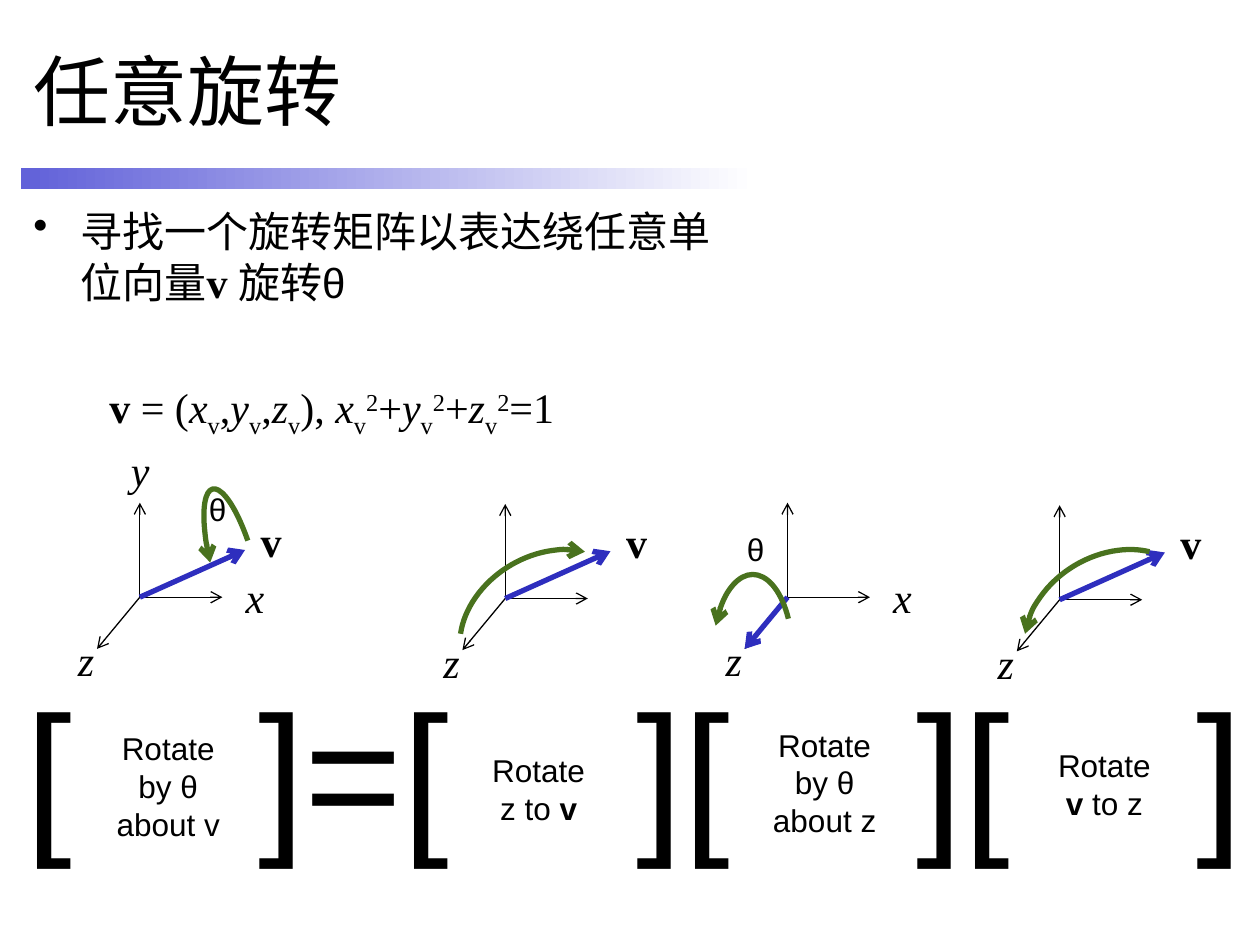
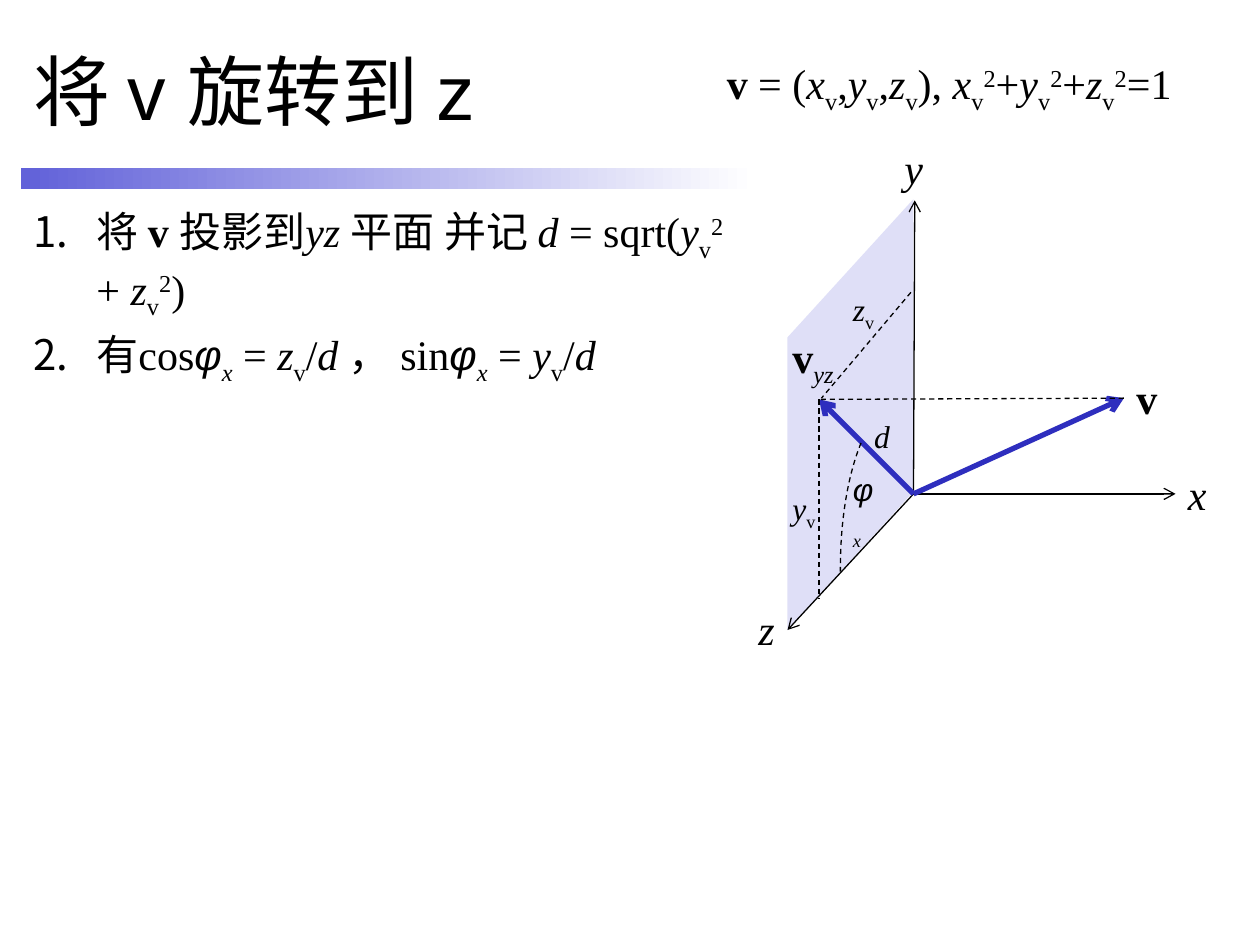
from dataclasses import dataclass

from lxml import etree
from pptx import Presentation, util as u
from pptx.dml.color import RGBColor
from pptx.enum import dml, shapes, text
from pptx.oxml.ns import qn

# Shared look
BLACK = RGBColor(0x00, 0x00, 0x00)
WHITE = RGBColor(0xFF, 0xFF, 0xFF)
BAND = RGBColor(0x61, 0x61, 0xD9)
BLUE = RGBColor(0x2E, 0x2E, 0xBE)
GREEN = RGBColor(0x49, 0x72, 0x1E)
PALE = RGBColor(0xDF, 0xDF, 0xF7)
SANS, SERIF = "Arial", "Times New Roman"
THIN, THICK = 0.75, 3

# The slide is a grid of 100 columns by 75 rows of square cells
deck = Presentation()
deck.slide_width, deck.slide_height = u.Inches(10), u.Inches(7.5)
CELL = deck.slide_width / 100

# Pieces are split by "|"; leading marks set the style of a piece
MARKS = "*~_^#"  # bold, italic, subscript, superscript, sans
UNIT = ("*v| = (|~x|_v|,|~y|_v|,|~z|_v|), |~x|_v|^2|+|~y|_v|^2|+|~z|_v|^2|=1")


@dataclass
class Label:
    words: str
    x: float
    y: float
    w: float = 3.5
    h: float = 5.1
    size: float = 24
    font: str = SERIF
    mid: bool = False      # centred lines
    wrap: bool = False
    grow: bool = True
    bullet: str = ""       # "dot" or "num"
    indent: float = 0
    tabs: tuple = ()
    anchor: text.MSO_ANCHOR = text.MSO_ANCHOR.TOP


@dataclass
class Arc:
    x: float
    y: float
    w: float
    h: float
    start: float
    end: float
    turn: float = 0
    head: bool = False
    tail: bool = False
    flip: bool = False
    color: RGBColor = GREEN
    width: float = THICK
    dash: bool = False


@dataclass
class Frame:
    x: float
    y: float
    vec: tuple             # offset of the blue vector
    names: str             # axes and vectors to label


def cells(*nums: float) -> list:
    return [u.Emu(round(n * CELL)) for n in nums]


def pen(line, color: RGBColor, width: float, dash=False, head=False, tail=False):
    line.color.rgb = color
    line.width = u.Pt(width)
    if dash:
        line.dash_style = dml.MSO_LINE.DASH
    ln = line._get_or_add_ln()
    for tag, on in (("a:headEnd", head), ("a:tailEnd", tail)):
        if on:
            etree.SubElement(ln, qn(tag), type="arrow")


def stroke(page, start: tuple, end: tuple, color=BLACK, width=THIN, dash=False):
    """Dashed lines are guides; the others end in an arrow."""
    link = page.shapes.add_connector(
        shapes.MSO_CONNECTOR.STRAIGHT, *cells(*start, *end))
    pen(link.line, color, width, dash, tail=not dash)
    etree.SubElement(link._element.spPr, qn("a:effectLst"))


def solid(page, kind, *box: float):
    part = page.shapes.add_shape(kind, *cells(*box))
    part.shadow.inherit = False
    part.line.fill.background()
    return part


def flip(part):
    part._element.spPr.find(qn("a:xfrm")).set("flipH", "1")


def arc(page, a: Arc):
    part = solid(page, shapes.MSO_SHAPE.ARC, a.x, a.y, a.w, a.h)
    part.adjustments[0], part.adjustments[1] = a.start, a.end
    part.rotation = a.turn
    part.fill.background()
    pen(part.line, a.color, a.width, a.dash, a.head, a.tail)
    if a.flip:
        flip(part)


def list_style(para, lab: Label):
    """Bullets and tab stops, which have no public call."""
    props = para._p.get_or_add_pPr()
    if lab.bullet:
        left = cells(lab.indent)[0]
        props.set("marL", str(left))
        props.set("indent", str(-left))
        if lab.bullet == "dot":
            etree.SubElement(props, qn("a:buChar"), char="•")
        else:
            etree.SubElement(props, qn("a:buAutoNum"), type="arabicPeriod")
        para.space_before = u.Pt(lab.size * 0.2)
    if lab.tabs:
        stops = etree.SubElement(props, qn("a:tabLst"))
        for pos in cells(*lab.tabs):
            etree.SubElement(stops, qn("a:tab"), pos=str(pos), algn="l")


def write(page, lab: Label):
    box = page.shapes.add_textbox(*cells(lab.x, lab.y, lab.w, lab.h))
    frame = box.text_frame
    frame.word_wrap = lab.wrap
    frame.vertical_anchor = lab.anchor
    frame.auto_size = (text.MSO_AUTO_SIZE.SHAPE_TO_FIT_TEXT if lab.grow
                       else text.MSO_AUTO_SIZE.NONE)
    for num, row in enumerate(lab.words.split("\n")):
        para = frame.add_paragraph() if num else frame.paragraphs[0]
        list_style(para, lab)
        para.font.size = u.Pt(lab.size)
        para.font.name = lab.font
        para.font.color.rgb = BLACK
        if lab.mid:
            para.alignment = text.PP_ALIGN.CENTER
        for piece in row.split("|"):
            bare = piece.lstrip(MARKS)
            marks = piece[:len(piece) - len(bare)]
            run = para.add_run()
            run.text = bare
            if "*" in marks:
                run.font.bold = True
            if "~" in marks:
                run.font.italic = True
            if "#" in marks:
                run.font.name = SANS
            for mark, shift in (("_", "-25000"), ("^", "30000")):
                if mark in marks:
                    run._r.get_or_add_rPr().set("baseline", shift)


def start(title: str):
    """New page with the fading band and the title."""
    page = deck.slides.add_slide(deck.slide_layouts[6])
    band = solid(page, shapes.MSO_SHAPE.RECTANGLE, 1.67, 13.33, 58.33, 1.67)
    band.fill.gradient()
    band.fill.gradient_angle = 0
    for stop, color in zip(band.fill.gradient_stops, (BAND, WHITE)):
        stop.color.rgb = color
    write(page, Label(title, 1.67, 1.67, 58.33, 10.83, 44, SANS, wrap=True,
                      grow=False, anchor=text.MSO_ANCHOR.MIDDLE))
    return page


def body(page, words: str, high: float, bullet: str, indent: float):
    write(page, Label(words, 1.67, 15.83, 58.33, high, wrap=True,
                      grow=False, bullet=bullet, indent=indent))


def axes(page, x: float, y: float, *ends: tuple):
    for dx, dy in ends:
        stroke(page, (x, y), (x + dx, y + dy))


# Slide 1: a rotation about any axis as a product of three
page = start("任意旋转")
body(page, "寻找一个旋转矩阵以表达绕任意单位向量|*v |旋转|#θ", 13.33, "dot", 3.75)
write(page, Label(UNIT, 7.7, 29.8, 38.6))

V, Z = (8.35, -3.75), (-3.4, 4.1)
FRAMES = [
    Frame(11.1, 47.4, V, "xyzv"),
    Frame(40.1, 47.5, V, "zv"),
    Frame(62.5, 47.4, Z, "xz"),
    Frame(84.1, 47.6, V, "zv"),
]
SPOTS = {"x": (7.4, -2.5), "y": (-1.7, -12.6), "z": (-5.9, 2.5), "v": (8.6, -7)}
for f in FRAMES:
    axes(page, f.x, f.y, Z, (0, -7.5), (6.55, 0))
    stroke(page, (f.x, f.y), (f.x + f.vec[0], f.y + f.vec[1]), BLUE, THICK)
    for name in f.names:
        dx, dy = SPOTS[name]
        write(page, Label(("*" if name == "v" else "~") + name,
                          f.x + dx, f.y + dy))

# Turning arrows and their angles
SWING = dict(w=14.5, h=11.2, start=123.61, end=197.17, turn=328.9)
for a in (
    Arc(16.8, 38.6, 3.4, 12.6, 121.66, 189.24, 345, head=True),
    Arc(36.1, 44.1, tail=True, **SWING),
    Arc(56.6, 45.6, 6.3, 12.6, 130.33, 189.24, head=True),
    Arc(80.9, 44.1, head=True, **SWING),
):
    arc(page, a)
for x, y in ((15.6, 38.4), (58.3, 41.6)):
    write(page, Label("θ", x, y, 3.3, 4, 18, SANS))

# Matrix equation
write(page, Label("[\t]=[\t][\t][\t]", 1, 52.4, 99.5, 17.2, 96, SANS, wrap=True,
                  tabs=(18.52, 48.56, 70.78, 93)))
for words, x, y, w, h in (
    ("Rotate\nby θ\nabout v", 8.2, 57.4, 10.3, 10.1),
    ("Rotate\nz to |*v", 38, 59.1, 9.5, 7.1),
    ("Rotate\nby θ\nabout z", 60.3, 57.1, 10.3, 10.1),
    ("Rotate\n*v| to z", 82.9, 58.7, 9.5, 7.1),
):
    write(page, Label(words, x, y, w, h, 18, SANS, mid=True))

# Slide 2: turning v onto z
page = start("将 v 旋转到 z")
plane = solid(page, shapes.MSO_SHAPE.PARALLELOGRAM, 50.4, 27.9, 34.2, 10)
plane.adjustments[0] = 1.098
plane.rotation = 270
flip(plane)
plane.fill.solid()
plane.fill.fore_color.rgb = PALE
body(page,
     "将 |*v |投影到|~yz |平面 并记 |~d| = sqrt(|~y|_v|^2| + |~z|_v|^2|)\n"
     "有cos|#~φ|_~x| = |~z|_v|/|~d |， sin|#~φ|_~x| = |~y|_v|/|~d",
     57.5, "num", 5)

# Axes, vectors and guides
ROOT, TIP, FLAT = (72.5, 39.2), (89.2, 31.6), (65, 31.7)
axes(page, *ROOT, (-10, 10.8), (0.1, -23.3), (20.8, 0))
for end in (TIP, FLAT):
    stroke(page, ROOT, end, BLUE, THICK)
for a, b in ((TIP, FLAT), ((72.3, 23.2), (65.2, 31.6)), (FLAT, (65, 47.5))):
    stroke(page, a, b, dash=True)
arc(page, Arc(66.7, 31.7, 10, 26.7, 173.25, 2.18, flip=True,
              color=BLACK, width=THIN, dash=True))

# Names
for words, x, y, w in (
    ("~x", 93.3, 36.7, 3.5), ("~y", 70.8, 10.8, 3.5), ("~z", 59.2, 47.4, 3.3),
    ("*v", 89.2, 29.1, 3.7), ("*v|_~yz", 61.9, 25.8, 5.6),
    (UNIT, 56.7, 4.1, 38.6),
):
    write(page, Label(words, x, y, w))
for words, x, y, w in (
    ("~z|_v", 66.7, 22.5, 3.8), ("~y|_v", 61.9, 38.3, 4),
    ("~d", 68.4, 32.6, 3.3), ("#~φ|_~x", 66.7, 36.8, 4.1),
):
    write(page, Label(words, x, y, w, 4, 18, wrap="φ" in words))

deck.save("out.pptx")
